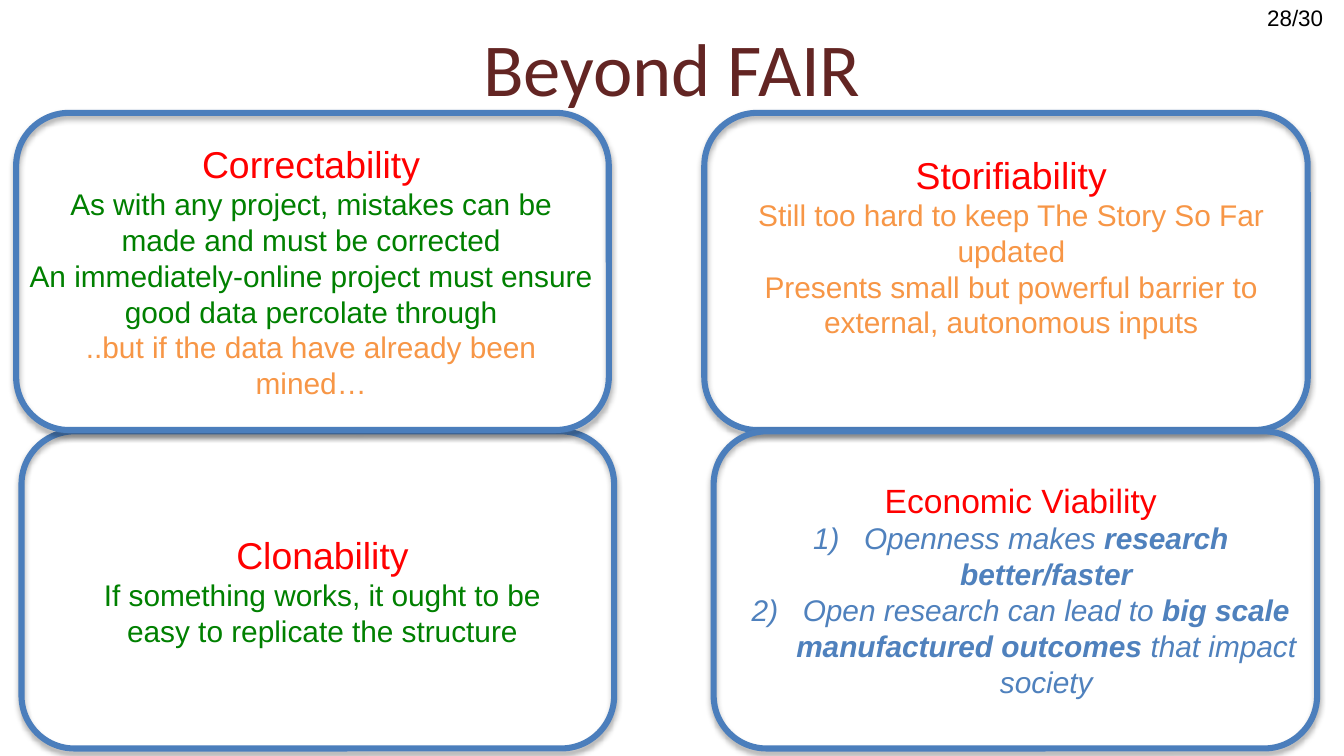
from lxml import etree
from pptx import Presentation
from pptx import util as u
from pptx.dml.color import RGBColor
from pptx.enum import shapes, text
from pptx.oxml.ns import qn

RED, GREEN, ORANGE, BLUE = "FF0000", "008000", "F79646", "4F81BD"
HEAD = dict(size=20, color=RED)
GOOD = dict(size=16, color=GREEN)
OPEN = dict(size=16, color=ORANGE)
POINT = dict(size=16, color=BLUE, italic=True)
STRONG = dict(POINT, bold=True)

# Each card: text box position, then paragraphs of (numbered, runs).
CARDS = [
    ((0.12, 1, 4.39, 2.05), [
        (False, [("Correctability", HEAD)]),
        (False, [("As with any project, mistakes can be made and must be corrected", GOOD)]),
        (False, [("An immediately-online project must ensure good data percolate through", GOOD)]),
        (False, [("..but if the data have already been mined…", OPEN)]),
    ]),
    ((5.24, 1.08, 4.57, 1.51), [
        (False, [("Storifiability", HEAD)]),
        (False, [("Still too hard to keep The Story So Far updated", OPEN)]),
        (False, [("Presents small but powerful barrier to external, autonomous inputs", OPEN)]),
    ]),
    ((0.67, 3.91, 3.46, 0.98), [
        (False, [("Clonability", HEAD)]),
        (False, [("If something works, it ought to be easy to replicate the structure", GOOD)]),
    ]),
    ((5.31, 3.52, 4.57, 1.75), [
        (False, [("Economic Viability", dict(HEAD, size=18))]),
        (True, [("Openness makes ", POINT), ("research better/faster", STRONG)]),
        (True, [("Open research can lead to ", POINT),
                ("big scale manufactured outcomes ", STRONG),
                ("that impact society", POINT)]),
    ]),
]
TOP, BOTTOM, FRAME_HEIGHT = 0.84, 3.21, 2.36
FRAMES = [(0.16, BOTTOM, 4.41), (0.12, TOP, 4.41), (5.24, TOP, 4.49), (5.31, BOTTOM, 4.49)]


def rgb(value):
    return RGBColor.from_string(value)


def inches(*lengths):
    return [u.Inches(n) for n in lengths]


def add_run(p, words, size, color, name="Arial", **style):
    r = p.add_run()
    r.text = words
    for key, value in dict(style, size=u.Pt(size), name=name).items():
        setattr(r.font, key, value)
    r.font.color.rgb = rgb(color)


def number(p):
    """Turn the paragraph into an item of a list numbered 1), 2), ..."""
    pPr = p._p.get_or_add_pPr()
    pPr.set("marL", str(u.Inches(0.38)))
    pPr.set("indent", str(u.Inches(-0.38)))
    etree.SubElement(pPr, qn("a:buFont"), typeface="Arial")
    etree.SubElement(pPr, qn("a:buAutoNum"), type="arabicParenR")


def add_title(s, words):
    title = s.shapes.title
    title.left, title.top, title.width, title.height = inches(3.46, 0.11, 3.08, 0.77)
    title.text_frame.word_wrap = False
    p = title.text_frame.paragraphs[0]
    p.alignment = text.PP_ALIGN.CENTER
    add_run(p, words, 40, "632523", "Calibri")


def add_text(s, box, paragraphs, wrap=True, align=text.PP_ALIGN.CENTER):
    tf = s.shapes.add_textbox(*inches(*box)).text_frame
    tf.word_wrap = wrap
    tf.auto_size = text.MSO_AUTO_SIZE.SHAPE_TO_FIT_TEXT
    for i, (numbered, runs) in enumerate(paragraphs):
        p = tf.add_paragraph() if i else tf.paragraphs[0]
        p.alignment = align
        if numbered:
            number(p)
        for words, style in runs:
            add_run(p, words, **style)


def add_shadow(sp):
    sp.shadow.inherit = False
    effects = sp._element.spPr.find(qn("a:effectLst"))
    shadow = etree.SubElement(effects, qn("a:outerShdw"), blurRad=str(u.Pt(3.1)),
                              dist=str(u.Pt(1.8)), dir="5400000", rotWithShape="0")
    color = etree.SubElement(shadow, qn("a:srgbClr"), val="000000")
    etree.SubElement(color, qn("a:alpha"), val="35000")


def add_frame(s, left, top, width):
    sp = s.shapes.add_shape(shapes.MSO_SHAPE.ROUNDED_RECTANGLE,
                            *inches(left, top, width, FRAME_HEIGHT))
    sp.fill.background()
    sp.line.color.rgb = rgb("4B7EBC")
    sp.line.width = u.Pt(3.25)
    add_shadow(sp)


def main():
    prs = Presentation()
    prs.slide_width = u.Inches(10)
    prs.slide_height = prs.slide_width * 9 // 16
    s = prs.slides.add_slide(prs.slide_layouts[5])
    add_title(s, "Beyond FAIR")
    page = [(False, [("28/30", dict(size=12, color="000000"))])]
    add_text(s, (9.33, -0.02, 0.62, 0.3), page, wrap=False, align=text.PP_ALIGN.LEFT)
    for box, paragraphs in CARDS:
        add_text(s, box, paragraphs)
    for frame in FRAMES:
        add_frame(s, *frame)
    prs.save("out.pptx")


if __name__ == "__main__":
    main()
